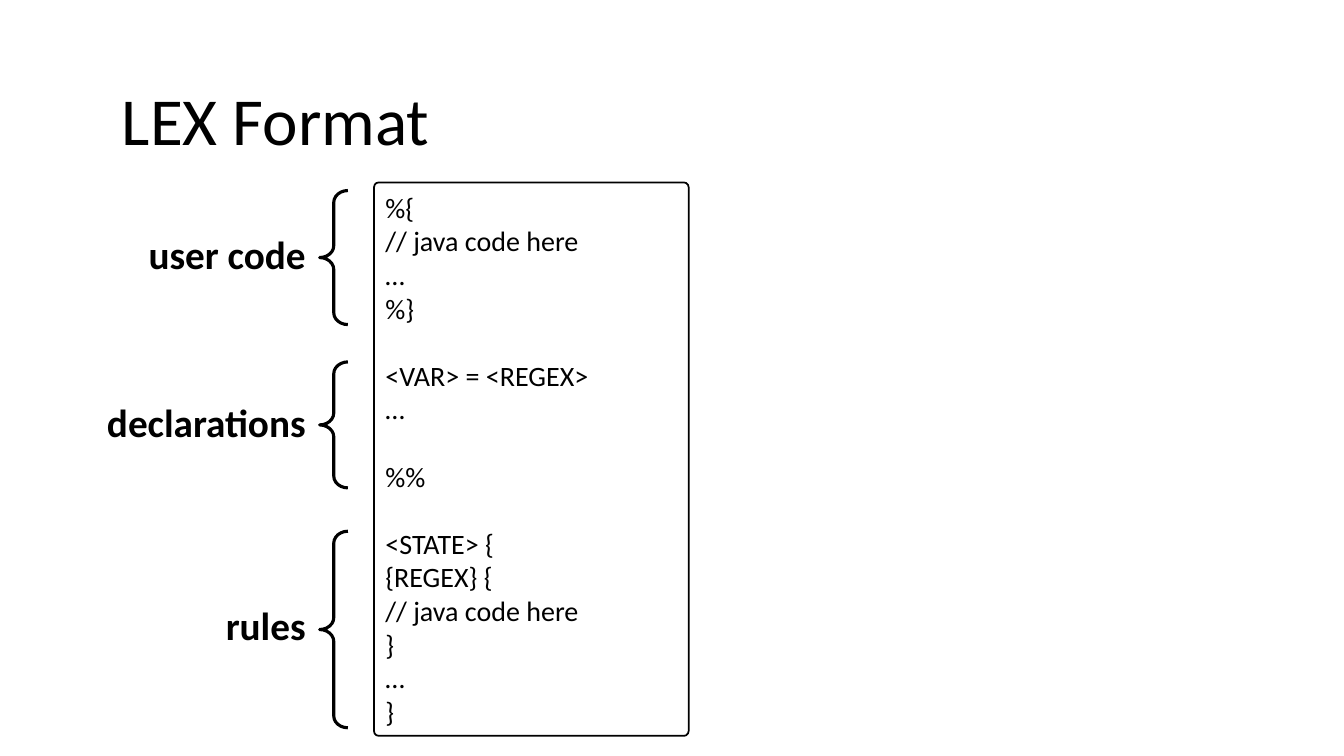
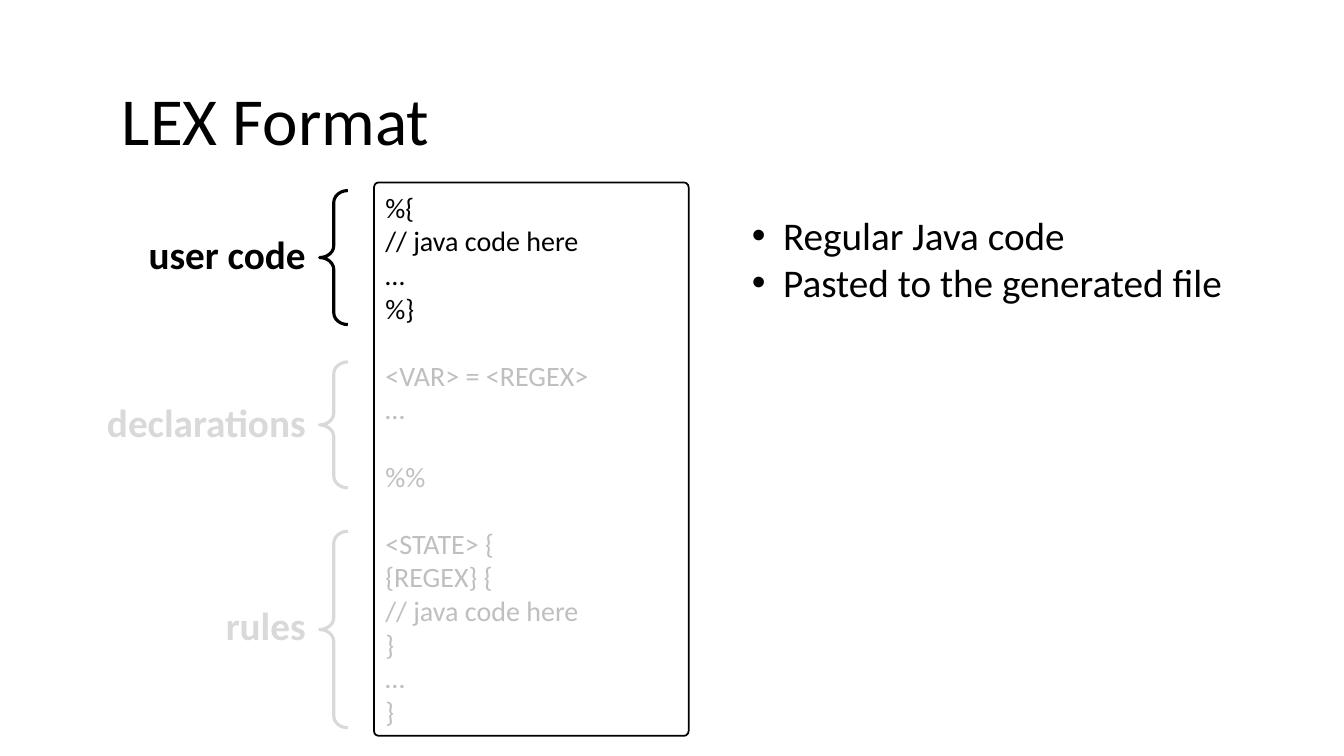
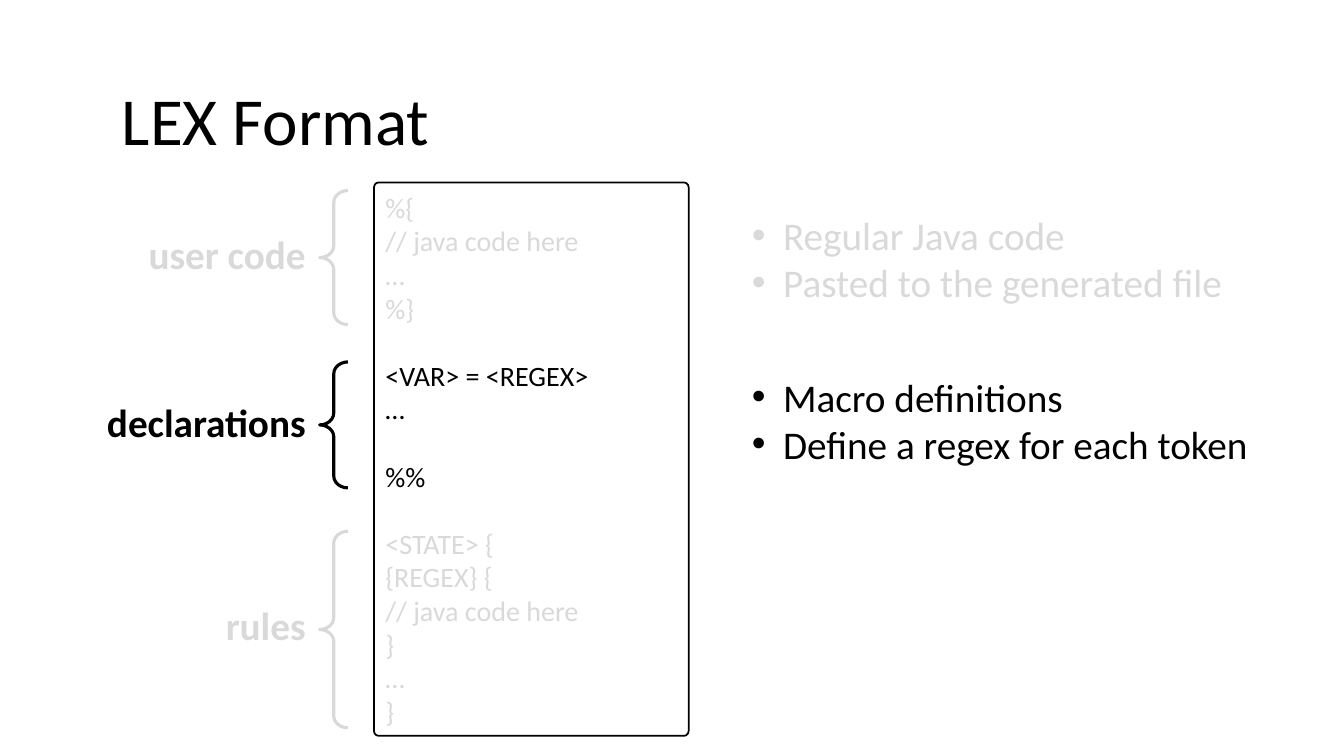
from pptx import Presentation
from pptx.dml.color import RGBColor
from pptx.enum.shapes import MSO_SHAPE as SHAPE
from pptx.enum.text import MSO_ANCHOR as ANCHOR, PP_ALIGN as ALIGN
from pptx.oxml.ns import qn
from pptx.util import Pt
from lxml import etree

PX = 9144  # 100 px to the inch
FONT = "Calibri"
BLACK, WHITE, PALE, GREY = "000000", "FFFFFF", "D9D9D9", "BFBFBF"
CODE_LINE = Pt(24)

# Label box, brace, bullet top, code blocks and bullets of each section
SECTIONS = [
    dict(name="user code", label=(120, 224, 193), brace=(189, 133), notes_top=205,
         code=[["%{", "// java code here", "…", "%}"]],
         notes=["Regular Java code", "Pasted to the generated file"]),
    dict(name="declarations", label=(90, 390, 223), brace=(359, 125), notes_top=365,
         code=[["<VAR> = <REGEX>", "…"], ["%%"]],
         notes=["Macro definitions", "Define a regex for each token"]),
    dict(name="rules", label=(192, 592, 121), brace=(527, 195), notes_top=None,
         code=[["<STATE> {", "{REGEX} {", "// java code here", "}", "…", "}"]],
         notes=[]),
]

# Section in focus, colour of the other code, number of sections with bullets shown
STEPS = [(None, BLACK, 0), ("user code", GREY, 1), ("declarations", PALE, 2)]


def rgb(color):
    return RGBColor.from_string(color)


def write(tf, lines, color=BLACK, bullet=False, align=ALIGN.LEFT, **font):
    """Append one paragraph a line to the text frame and return them."""
    tf.word_wrap = True
    added = []
    for line in lines:
        p = tf.paragraphs[0] if not tf.text else tf.add_paragraph()
        p.alignment = align
        r = p.add_run()
        r.text = line
        for key, value in dict(font, name=FONT).items():
            setattr(r.font, key, value)
        r.font.color.rgb = rgb(color)
        if bullet:
            pPr = p._p.get_or_add_pPr()
            pPr.set("marL", str(31 * PX))
            pPr.set("indent", str(-31 * PX))
            etree.SubElement(pPr, qn("a:buFont")).set("typeface", "Arial")
            etree.SubElement(pPr, qn("a:buChar")).set("char", "•")
        added.append(p)
    return added


prs = Presentation()
prs.slide_width, prs.slide_height = 1333 * PX, 750 * PX

for focus, dim_code, shown in STEPS:
    slide = prs.slides.add_slide(prs.slide_layouts[6])
    shapes = slide.shapes

    title = shapes.add_textbox(111 * PX, 73 * PX, 1109 * PX, 91 * PX)
    write(title.text_frame, ["LEX Format"], size=Pt(48))

    code_box = shapes.add_shape(SHAPE.ROUNDED_RECTANGLE, 371 * PX, 181 * PX, 312 * PX, 549 * PX)
    code_box.adjustments[0] = 0.015
    code_box.shadow.inherit = False
    code_box.fill.solid()
    code_box.fill.fore_color.rgb = rgb(WHITE)
    white = code_box.fill._xPr.find(qn("a:solidFill"))[0]
    etree.SubElement(white, qn("a:alpha")).set("val", "44000")
    code_box.line.color.rgb = rgb(BLACK)
    code_box.line.width = Pt(1.25)
    code_tf = code_box.text_frame
    code_tf.vertical_anchor = ANCHOR.MIDDLE

    for i, section in enumerate(SECTIONS):
        active = focus in (None, section["name"])
        color = BLACK if active else PALE

        left, top, width = section["label"]
        label = shapes.add_textbox(left * PX, top * PX, width * PX, 57 * PX)
        write(label.text_frame, [section["name"]], color, align=ALIGN.RIGHT,
              size=Pt(28), bold=True)

        top, height = section["brace"]
        brace = shapes.add_shape(SHAPE.RIGHT_BRACE, 317 * PX, top * PX, 28 * PX, height * PX)
        brace.rotation = 180
        brace.adjustments[0] = 0.423
        brace.shadow.inherit = False
        brace.fill.background()
        brace.line.color.rgb = rgb(color)
        brace.line.width = Pt(2.25)

        for block in section["code"]:
            first = not code_tf.text
            added = write(code_tf, block, BLACK if active else dim_code, size=Pt(20))
            if not first:
                added[0].space_before = CODE_LINE

        if i < shown:
            notes = shapes.add_textbox(736 * PX, section["notes_top"] * PX, 597 * PX, 104 * PX)
            write(notes.text_frame, section["notes"], color, bullet=True, size=Pt(28))

prs.save("out.pptx")
